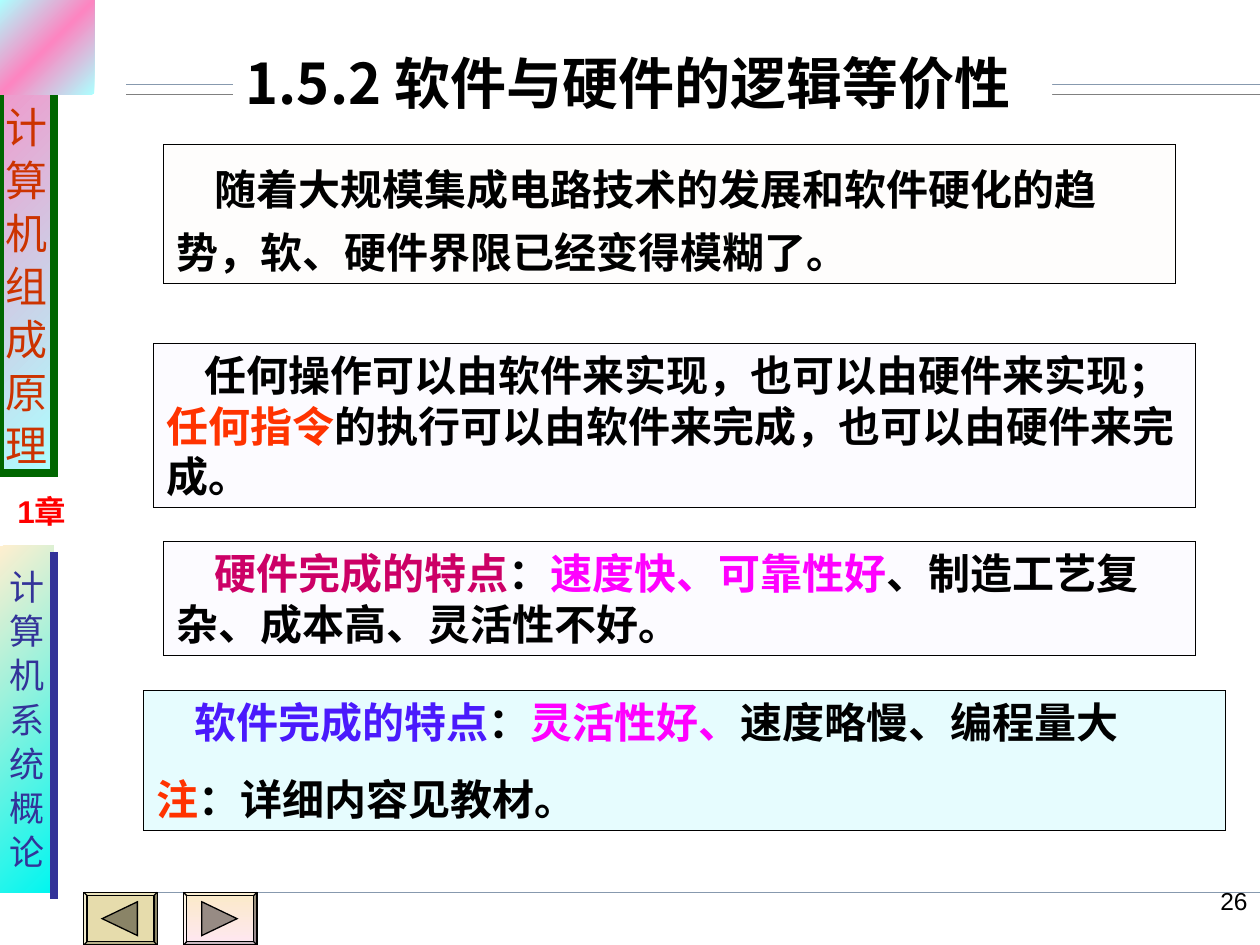
from lxml import etree
from pptx import Presentation
from pptx import util as u
from pptx.dml.color import RGBColor
from pptx.enum import shapes, text
from pptx.oxml.ns import qn

Cm, Pt = u.Cm, u.Pt
SANS, CJK = "Arial", "Noto Sans CJK SC"
BLACK = RGBColor(0, 0, 0)
WHITE = RGBColor(255, 255, 255)
STEEL = RGBColor(0x87, 0x99, 0xAE)
GRAY = RGBColor(0x80, 0x80, 0x80)
GREEN = RGBColor(0, 0x66, 0)
RUST = RGBColor(0xCC, 0x33, 0)
NAVY = RGBColor(0x33, 0x33, 0x99)
RED = RGBColor(255, 0, 0)
ORANGE = RGBColor(255, 0x33, 0)
PINK = RGBColor(0xFD, 0x85, 0xC1)
ICE = RGBColor(0xAD, 255, 255)
CREAM = RGBColor(255, 0xEF, 0xCF)
AQUA = RGBColor(0, 0xF6, 0xF0)
KHAKI = RGBColor(0xE6, 0xDC, 0xAC)
PEACH = RGBColor(0xFB, 0xEA, 0xC7)
ROSE = RGBColor(0xFE, 0xE7, 0xF2)
OLIVE = RGBColor(0x8A, 0x84, 0x67)
TAUPE = RGBColor(0x97, 0x8B, 0x84)
IVORY = RGBColor(0xFE, 0xFD, 0xFC)
LILAC = RGBColor(0xFC, 0xFB, 0xFF)
MIST = RGBColor(0xE6, 0xFC, 0xFE)
BLUE = RGBColor(0x4A, 0x1A, 0xFC)
CERISE = RGBColor(0xCC, 0, 0x66)
PURPLE = RGBColor(255, 0, 255)


def paint(shape, tints, angle=45, edge=None, width=0.75):
    """Fill with one colour or an even gradient, then set the outline."""
    shape.shadow.inherit = False
    if len(tints) == 1:
        shape.fill.solid()
        shape.fill.fore_color.rgb = tints[0]
    else:
        shape.fill.gradient()
        shape.fill.gradient_angle = 360 - angle
        stops = shape._element.spPr.find(".//" + qn("a:gsLst"))
        stops.clear()
        for i, tint in enumerate(tints):
            stop = etree.SubElement(stops, qn("a:gs"), pos=str(i * 100000 // (len(tints) - 1)))
            etree.SubElement(stop, qn("a:srgbClr"), val=str(tint))
    if edge is None:
        shape.line.fill.background()
    else:
        shape.line.color.rgb = edge
        shape.line.width = Pt(width)
        etree.SubElement(shape._element.spPr.find(qn("a:ln")), qn("a:miter"), lim="800000")


def write(para, words, size, color, bold=False, font=CJK):
    """Add one run with both its Latin and East Asian fonts."""
    run = para.add_run()
    run.text = words
    run.font.size, run.font.bold, run.font.name = Pt(size), bold, font
    run.font.color.rgb = color
    etree.SubElement(run._r.get_or_add_rPr(), qn("a:ea"), typeface=CJK)


deck = Presentation()
deck.slide_width, deck.slide_height = Cm(25.4), Cm(19.05)
slide = deck.slides.add_slide(deck.slide_layouts[5])
parts = slide.shapes
RECT = shapes.MSO_SHAPE.RECTANGLE

# Rules at the top and bottom, and the bar at the left
for x1, y1, x2, y2, color, width in [
    (2.54, 1.7, 25.4, 1.7, STEEL, 0.75),
    (2.54, 1.9, 25.4, 1.9, GRAY, 0.75),
    (1.69, 17.99, 25.4, 17.99, STEEL, 0.75),
    (1.09, 11.13, 1.09, 18.12, NAVY, 4.5),
]:
    rule = parts.add_connector(shapes.MSO_CONNECTOR.STRAIGHT, Cm(x1), Cm(y1), Cm(x2), Cm(y2))
    rule.line.color.rgb = color
    rule.line.width = Pt(width)
    etree.SubElement(rule._element.spPr, qn("a:effectLst"))

# Side panels with upright text
bar = parts[-1]
for words, y, h, tints, edge, size, color, gap, inset, anchor in [
    ("计算机组成原理", 0, 9.53, (PINK, ICE), GREEN, 24, RUST, 1.5, 2.05, text.MSO_ANCHOR.TOP),
    ("计算机系统概论", 11, 6.99, (CREAM, AQUA), None, 20, NAVY, 1.2, 0.13, text.MSO_ANCHOR.MIDDLE),
]:
    panel = parts.add_shape(RECT, 0, Cm(y), Cm(1.09), Cm(h))
    paint(panel, tints, edge=edge, width=4.5)
    frame = panel.text_frame
    frame.word_wrap = False
    frame.vertical_anchor = anchor
    frame.margin_top, frame.margin_bottom = Cm(inset), Cm(0.13)
    for i, sign in enumerate(words):
        para = frame.add_paragraph() if i else frame.paragraphs[0]
        para.alignment = text.PP_ALIGN.CENTER
        if i:
            para.space_before = Pt(gap)
        write(para, sign, size, color, font=SANS)
parts._spTree.append(bar._element)

# Corner square
square = parts.add_shape(RECT, 0, 0, Cm(1.9), Cm(1.9))
paint(square, (ICE, PINK, ICE))

# Back and forward buttons
for x, tints, dark, tip, base in [
    (1.69, (KHAKI,), OLIVE, 0.37, 1.08),
    (3.7, (PEACH, ROSE), TAUPE, 1.08, 0.37),
]:
    button = parts.add_shape(shapes.MSO_SHAPE.BEVEL, Cm(x), Cm(17.99), Cm(1.48), Cm(1.06))
    button.adjustments[0] = 0.06
    paint(button, tints, angle=90, edge=BLACK)
    pen = parts.build_freeform(Cm(x + tip), Cm(18.52))
    pen.add_line_segments([(Cm(x + base), Cm(18.18)), (Cm(x + base), Cm(18.86))])
    paint(pen.convert_to_shape(), (dark,), edge=BLACK)

# Chapter mark and page number
for words, x, y, w, h, size, color, bold, align in [
    ("1章", 0, 9.8, 1.69, 1.02, 18, RED, True, text.PP_ALIGN.CENTER),
    ("26", 22.86, 17.73, 2.54, 1.32, 14, BLACK, False, text.PP_ALIGN.RIGHT),
]:
    label = parts.add_textbox(Cm(x), Cm(y), Cm(w), Cm(h))
    label.text_frame.word_wrap = True
    para = label.text_frame.paragraphs[0]
    para.alignment = align
    write(para, words, size, color, bold, SANS)

# Title, above the rules
title = parts.title
title.left, title.top, title.width, title.height = Cm(4.7), Cm(0.71), Cm(16.51), Cm(1.91)
title.fill.solid()
title.fill.fore_color.rgb = WHITE
title.text_frame.auto_size = text.MSO_AUTO_SIZE.NONE
title.text_frame.vertical_anchor = text.MSO_ANCHOR.MIDDLE
para = title.text_frame.paragraphs[0]
para.alignment = text.PP_ALIGN.LEFT
write(para, "1.5.2 软件与硬件的逻辑等价性", 32, BLACK, True)
parts._spTree.append(title._element)

# Text boxes: place, fill, line spacing, paragraphs of coloured runs
for x, y, w, h, tint, pitch, paras in [
    (3.3, 2.92, 20.4, 2.79, IVORY, 1.25, [
        [("随着大规模集成电路技术的发展和软件硬化的趋势，软、硬件界限已经变得模糊了。", BLACK)]]),
    (3.1, 6.93, 21, 3.3, LILAC, 1.0, [
        [("任何操作可以由软件来实现，也可以由硬件来实现；", BLACK),
         ("任何指令", ORANGE),
         ("的执行可以由软件来完成，也可以由硬件来完成。", BLACK)]]),
    (3.3, 10.92, 20.8, 2.29, LILAC, 1.0, [
        [("硬件完成的特点", CERISE), ("：", BLACK), ("速度快、可靠性好", PURPLE),
         ("、制造工艺复杂、成本高、灵活性不好。", BLACK)]]),
    (2.9, 13.92, 21.8, 2.82, MIST, 1.0, [
        [("软件完成的特点", BLUE), ("：", BLACK), ("灵活性好、", PURPLE),
         ("速度略慢、编程量大", BLACK)],
        [("注", ORANGE), ("：详细内容见教材。", BLACK)]]),
]:
    box = parts.add_shape(RECT, Cm(x), Cm(y), Cm(w), Cm(h))
    paint(box, (tint,), edge=BLACK)
    frame = box.text_frame
    frame.word_wrap = True
    frame.vertical_anchor = text.MSO_ANCHOR.TOP
    for i, runs in enumerate(paras):
        para = frame.add_paragraph() if i else frame.paragraphs[0]
        para.alignment = text.PP_ALIGN.LEFT
        para.line_spacing = pitch
        # Keep closing punctuation inside the box
        props = para._p.get_or_add_pPr()
        props.set("hangingPunct", "0")
        if i:
            para.space_before = Pt(15)
        else:
            props.set("indent", str(Cm(0.77)))
        for words, color in runs:
            write(para, words, 24, color, True)

deck.save("out.pptx")
